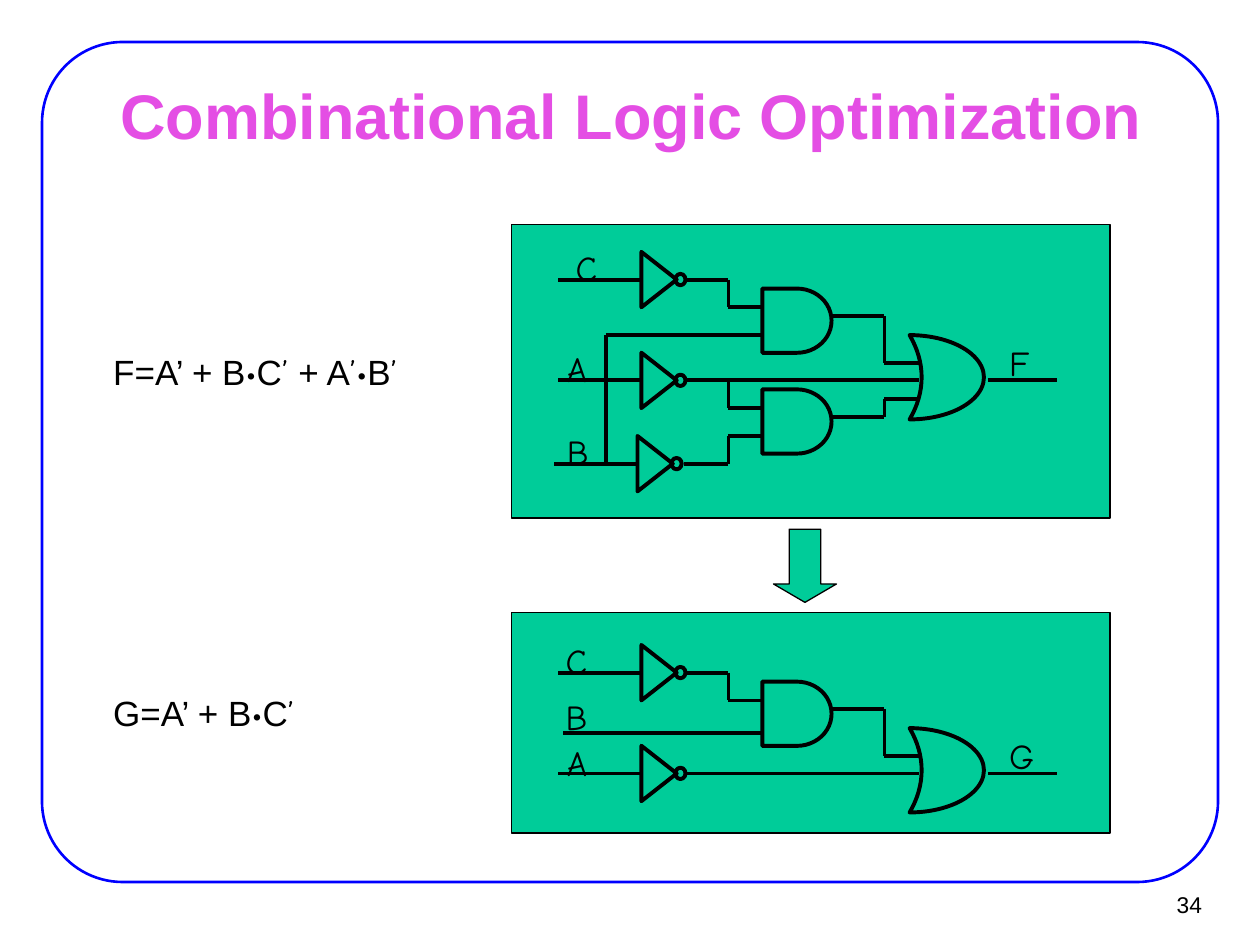
from lxml import etree
from pptx import Presentation
from pptx.dml.color import RGBColor
from pptx.enum.shapes import MSO_CONNECTOR, MSO_SHAPE
from pptx.enum.text import MSO_ANCHOR, MSO_AUTO_SIZE, PP_ALIGN
from pptx.oxml.ns import qn
from pptx.util import Pt

RECTANGLE, ROUNDED = MSO_SHAPE.RECTANGLE, MSO_SHAPE.ROUNDED_RECTANGLE
TRIANGLE, OVAL, DELAY = MSO_SHAPE.ISOSCELES_TRIANGLE, MSO_SHAPE.OVAL, MSO_SHAPE.FLOWCHART_DELAY
MOON, DOWN_ARROW = MSO_SHAPE.MOON, MSO_SHAPE.DOWN_ARROW
STRAIGHT = MSO_CONNECTOR.STRAIGHT
LEFT, CENTER, RIGHT = PP_ALIGN.LEFT, PP_ALIGN.CENTER, PP_ALIGN.RIGHT
MIDDLE, TOP = MSO_ANCHOR.MIDDLE, MSO_ANCHOR.TOP
GROW, FIXED = MSO_AUTO_SIZE.SHAPE_TO_FIT_TEXT, MSO_AUTO_SIZE.NONE

THEME = {
    "ink": RGBColor(0, 0, 0), "frame": RGBColor(0, 0, 255),
    "title": RGBColor(0xE4, 0x4E, 0xE4), "panel": RGBColor(0, 0xCC, 0x99),
    "font": "Arial", "hand": "Comic Neue",
    "title_size": 36, "body_size": 20, "number_size": 13,
    "thin": 0.75, "frame_line": 1.5, "upright_wire": 2, "wire": 2.25,
}

# Content: spans in the hand font are the ones made only of these marks
TITLE = "Combinational Logic Optimization"
PAGE_NUMBER = "34"
HAND_MARKS = "’•"
FORMULAS = [
    (196.6, ["F=A’ + B", "•", "C", "’", " + A", "’•", "B", "’"]),
    (391.7, ["G=A’ + B", "•", "C", "’"]),
]
PANELS = [(128.2, 167.8), (350, 126)]  # top, height

# Circuit geometry, written for the upper circuit
LOWER_SHIFT = 224.6
ROW_C, ROW_A, ROW_B = 159.8, 217.4, 265
INVERTER_X, FORK_X, AND_X, MERGE_X, OR_X = 366.5, 416.2, 435.6, 505.4, 519.8
AND_TOPS = (164.9, 222.5)
AND_OUT = 475.2
OR_IN = 524.9
SHARED_WIRES = [
    [(391, ROW_C), (FORK_X, ROW_C), (FORK_X, 175.7), (AND_X, 175.7)],
    [(391, ROW_A), (OR_IN, ROW_A)],
    [(AND_OUT, 180.7), (MERGE_X, 180.7), (MERGE_X, 207.4), (OR_IN, 207.4)],
    [(564.5, ROW_A), (604.1, ROW_A)],
]
CIRCUITS = [
    {
        "shift": 0,
        "inverters": [(INVERTER_X, ROW_C), (INVERTER_X, ROW_A), (INVERTER_X - 2.2, ROW_B)],
        "and_tops": AND_TOPS,
        "wires": [
            [(FORK_X, ROW_A), (FORK_X, 233.3), (AND_X, 233.3)],
            [(391, ROW_B), (FORK_X, ROW_B), (FORK_X, 249.1), (AND_X, 249.1)],
            [(346.3, ROW_B), (346.3, 191.5), (AND_X, 191.5)],
            [(AND_OUT, 238.3), (MERGE_X, 238.3), (MERGE_X, 228.2), (OR_IN, 228.2)],
        ],
        "labels": [("A", 316.8, 195.1), ("B", 316.8, 242.6), ("C", 321.8, 137.5),
                   ("F", 569.5, 191.5)],
    },
    {
        "shift": LOWER_SHIFT,
        "inverters": [(INVERTER_X, ROW_C), (INVERTER_X, ROW_A)],
        "and_tops": AND_TOPS[:1],
        "wires": [[(321.8, 194.4), (436.3, 194.4)]],
        "labels": [("A", 316.8, 195.8), ("B", 316.1, 169.2), ("C", 316.1, 137.5),
                   ("G", 569.5, 191.5)],
    },
]


def add_figure(page, kind, left, top, width, height, fill=None, line="ink",
               weight="wire", adjust=()):
    figure = page.shapes.add_shape(kind, Pt(left), Pt(top), Pt(width), Pt(height))
    figure.shadow.inherit = False
    if fill:
        figure.fill.solid()
        figure.fill.fore_color.rgb = THEME[fill]
    else:
        figure.fill.background()
    figure.line.color.rgb = THEME[line]
    figure.line.width = Pt(THEME[weight])
    for index, value in enumerate(adjust):
        figure.adjustments[index] = value
    return figure


def add_wire(page, points, shift):
    """Draw a bent wire as one straight connector for each stretch."""
    for (x1, y1), (x2, y2) in zip(points, points[1:]):
        wire = page.shapes.add_connector(STRAIGHT, Pt(x1), Pt(y1 + shift), Pt(x2), Pt(y2 + shift))
        wire.line.color.rgb = THEME["ink"]
        wire.line.width = Pt(THEME["upright_wire" if x1 == x2 else "wire"])
        etree.SubElement(wire._element.spPr, qn("a:effectLst"))


def write(box, spans, font="font", size="body_size", color="ink", bold=False, align=LEFT,
          anchor=TOP, inset=(7.2, 3.6), wrap=True, fit=GROW):
    frame = box.text_frame
    frame.word_wrap, frame.auto_size, frame.vertical_anchor = wrap, fit, anchor
    frame.margin_left = frame.margin_right = Pt(inset[0])
    frame.margin_top = frame.margin_bottom = Pt(inset[1])
    para = frame.paragraphs[0]
    para.alignment = align
    for text in spans:
        span = para.add_run()
        span.text = text
        span.font.name = THEME["hand" if set(text) <= set(HAND_MARKS) else font]
        span.font.size = Pt(THEME[size])
        span.font.bold = bold
        span.font.color.rgb = THEME[color]


def add_text(page, left, top, width, height, spans, **text_format):
    box = page.shapes.add_textbox(Pt(left), Pt(top), Pt(width), Pt(height))
    write(box, spans, **text_format)


def add_inverter(page, x, y):
    """Draw an input wire, a triangle whose flat side is at x, and its bubble."""
    add_wire(page, [(x - 47.5, y), (x, y)], 0)
    length, breadth = 20.2, 31.7
    triangle = add_figure(page, TRIANGLE, x + (length - breadth) / 2, y - length / 2,
                          breadth, length)
    triangle.rotation = 90
    add_figure(page, OVAL, x + 19.4, y - 3.3, 5.8, 6.5)


def add_circuit(page, circuit):
    shift = circuit["shift"]
    for x, y in circuit["inverters"]:
        add_inverter(page, x, y + shift)
    for top in circuit["and_tops"]:
        add_figure(page, DELAY, AND_X, top + shift, 39.6, 36.7)
    or_gate = add_figure(page, MOON, OR_X, 191.5 + shift, 42.5, 48.2, adjust=[0.838])
    or_gate._element.spPr.find(qn("a:xfrm")).set("flipH", "1")
    for points in SHARED_WIRES + circuit["wires"]:
        add_wire(page, points, shift)
    for letter, left, top in circuit["labels"]:
        add_text(page, left, top + shift, 29.5, 31, [letter], font="hand")


def main():
    deck = Presentation()
    deck.slide_width, deck.slide_height = Pt(720), Pt(540)
    page = deck.slides.add_slide(deck.slide_layouts[5])

    title = page.shapes.title
    title.left, title.top, title.width, title.height = Pt(54.7), Pt(47.5), Pt(612), Pt(35.3)
    write(title, [TITLE], size="title_size", color="title", bold=True, align=CENTER,
          anchor=MIDDLE, inset=(7.9, 4.3), fit=FIXED)

    add_figure(page, ROUNDED, 24, 24, 672, 480, line="frame", weight="frame_line",
               adjust=[0.096])
    add_text(page, 649.4, 503.3, 43.9, 26.6, [PAGE_NUMBER], size="number_size", align=RIGHT,
             anchor=MIDDLE, inset=(6.5, 2.9), wrap=False, fit=FIXED)

    for top, height in PANELS:
        add_figure(page, RECTANGLE, 292.3, top, 342, height, fill="panel", weight="thin")
    for circuit in CIRCUITS:
        add_circuit(page, circuit)
    add_figure(page, DOWN_ARROW, 442, 302.4, 36, 41.8, fill="panel", weight="thin",
               adjust=[0.5, 0.292])
    for top, spans in FORMULAS:
        add_text(page, 57.6, top, 219.6, 31, spans)

    deck.save("out.pptx")


if __name__ == "__main__":
    main()
